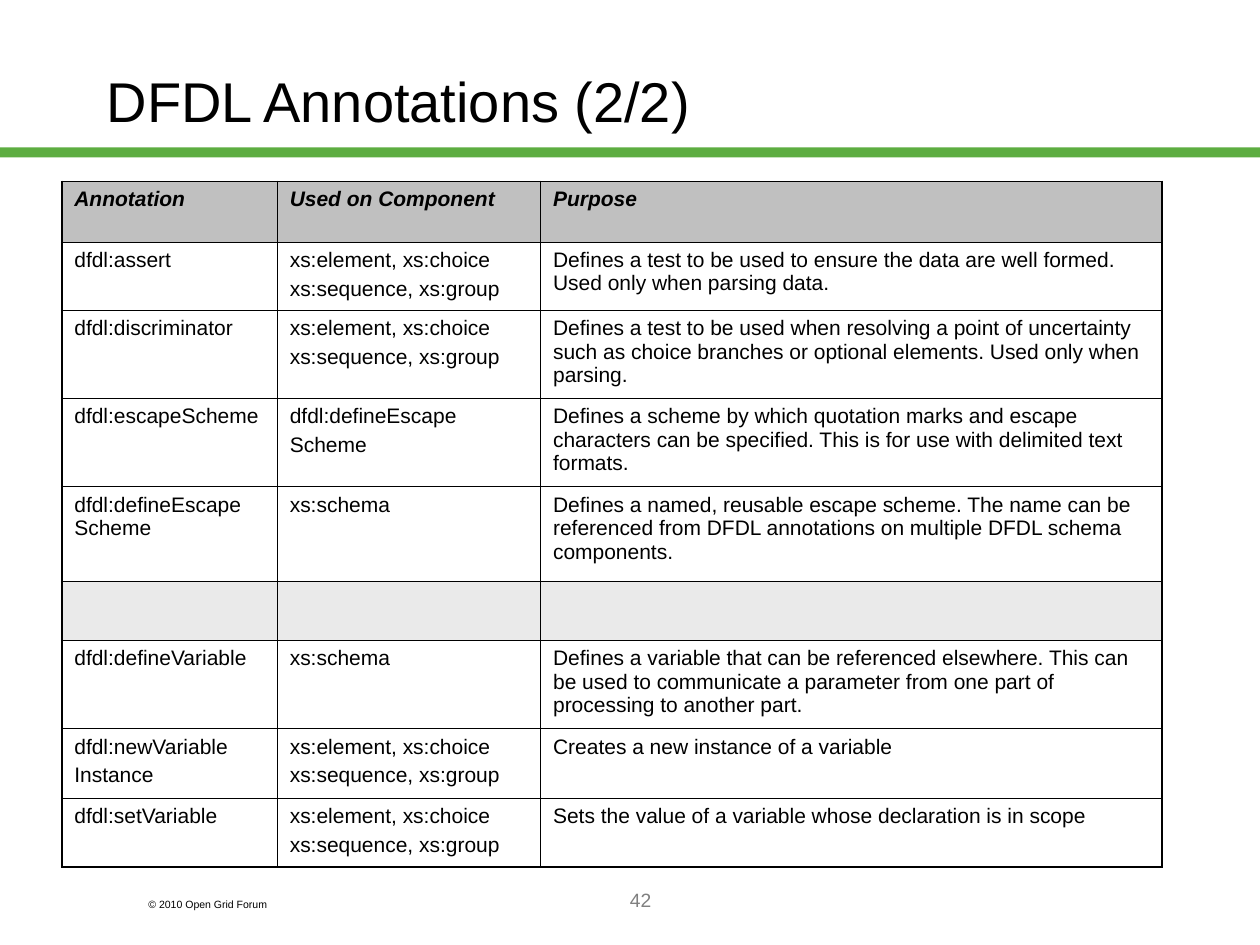
from lxml import etree
from pptx import Presentation
from pptx.dml.color import RGBColor
from pptx.enum.shapes import MSO_SHAPE
from pptx.enum.text import MSO_ANCHOR, PP_ALIGN
from pptx.oxml.ns import qn
from pptx.util import Inches, Pt

RECTANGLE = MSO_SHAPE.RECTANGLE
TOP, MIDDLE = MSO_ANCHOR.TOP, MSO_ANCHOR.MIDDLE
LEFT, CENTER = PP_ALIGN.LEFT, PP_ALIGN.CENTER

GRID_COLUMNS, GRID_ROWS = 100, 75
BLACK, GRAY, GREEN = "000000", "808080", "5DAD41"
HEADER_FILL, GAP_FILL = "C0C0C0", "EAEAEA"
OUTER, INNER = 1.08, 0.45

COLUMN_WIDTHS = [17.1, 20.9, 49.3]
ROW_HEIGHTS = [4.8, 5.4, 7, 7, 7.5, 4.7, 7, 5.5, 5.5]
COMPONENTS = "xs:element, xs:choice\nxs:sequence, xs:group"
ANNOTATIONS = [
    ("Annotation", "Used on Component", "Purpose"),
    ("dfdl:assert", COMPONENTS,
     "Defines a test to be used to ensure the data are well formed. "
     "Used only when parsing data."),
    ("dfdl:discriminator", COMPONENTS,
     "Defines a test to be used when resolving a point of uncertainty such as "
     "choice branches or optional elements. Used only when parsing."),
    ("dfdl:escapeScheme", "dfdl:defineEscape\nScheme",
     "Defines a scheme by which quotation marks and escape characters can be "
     "specified. This is for use with delimited text formats."),
    ("dfdl:defineEscape\nScheme", "xs:schema",
     "Defines a named, reusable escape scheme. The name can be referenced from "
     "DFDL annotations on multiple DFDL schema components."),
    ("", "", ""),
    ("dfdl:defineVariable", "xs:schema",
     "Defines a variable that can be referenced elsewhere. This can be used to "
     "communicate a parameter from one part of processing to another part."),
    ("dfdl:newVariable\nInstance", COMPONENTS, "Creates a new instance of a variable"),
    ("dfdl:setVariable", COMPONENTS,
     "Sets the value of a variable whose declaration is in scope"),
]
TIGHT_CELLS = {(4, 0)}


def color(hex_value):
    return RGBColor.from_string(hex_value)


class SlideBuilder:
    font_name = "Arial"

    def __init__(self, deck):
        self.slide = deck.slides.add_slide(deck.slide_layouts[6])
        self.column = deck.slide_width / GRID_COLUMNS
        self.row = deck.slide_height / GRID_ROWS

    def place(self, left, top, width, height):
        return (round(left * self.column), round(top * self.row),
                round(width * self.column), round(height * self.row))

    def fill_frame(self, frame, text, size, hex_value=BLACK, align=LEFT,
                   emphasis=False, gap=0):
        frame.word_wrap = True
        frame.text = text
        for index, paragraph in enumerate(frame.paragraphs):
            paragraph.alignment = align
            if index:
                paragraph.space_before = Pt(gap)
            font = paragraph.font
            font.name, font.size = self.font_name, Pt(size)
            font.bold = font.italic = emphasis
            font.color.rgb = color(hex_value)

    def bar(self, area, hex_value):
        shape = self.slide.shapes.add_shape(RECTANGLE, *self.place(*area))
        shape.shadow.inherit = False
        shape.fill.solid()
        shape.fill.fore_color.rgb = color(hex_value)
        shape.line.fill.background()

    def text(self, area, text, size, hex_value=BLACK, align=LEFT, anchor=TOP):
        frame = self.slide.shapes.add_textbox(*self.place(*area)).text_frame
        frame.vertical_anchor = anchor
        self.fill_frame(frame, text, size, hex_value, align)

    def borders(self, cell, widths):
        properties = cell._tc.get_or_add_tcPr()
        for index, (side, width) in enumerate(widths.items()):
            line = etree.Element(qn(f"a:ln{side}"), w=str(Pt(width)))
            fill = etree.SubElement(line, qn("a:solidFill"))
            etree.SubElement(fill, qn("a:srgbClr"), val=BLACK)
            properties.insert(index, line)

    def table(self, left, top, widths, heights, rows, fills, tight):
        area = self.place(left, top, sum(widths), sum(heights))
        table = self.slide.shapes.add_table(len(rows), len(widths), *area).table
        table.horz_banding = table.first_row = False
        for column, width in zip(table.columns, widths):
            column.width = round(width * self.column)
        for row, height in zip(table.rows, heights):
            row.height = round(height * self.row)
        last_row, last_column = len(rows) - 1, len(widths) - 1
        for r, texts in enumerate(rows):
            for c, text in enumerate(texts):
                cell = table.cell(r, c)
                self.fill_frame(cell.text_frame, text, 12, emphasis=r == 0,
                                gap=0 if (r, c) in tight else 3)
                if r in fills:
                    cell.fill.solid()
                    cell.fill.fore_color.rgb = color(fills[r])
                else:
                    cell.fill.background()
                edges = {"L": c == 0, "R": c == last_column,
                         "T": r == 0, "B": r == last_row}
                self.borders(cell, {side: OUTER if outside else INNER
                                    for side, outside in edges.items()})


def main():
    deck = Presentation()
    deck.slide_width, deck.slide_height = Inches(10), Inches(7.5)
    page = SlideBuilder(deck)
    page.bar((0, 11.7, GRID_COLUMNS, 0.8), GREEN)
    page.text((10.8, 70.8, 15, 2), "© 2010 Open Grid Forum", 6)
    page.text((21.7, 70, 58.3, 5), "42", 11, GRAY, CENTER)
    page.text((7.5, 1.7, 85, 12.5), "DFDL Annotations (2/2)", 32, anchor=MIDDLE)
    page.table(4.9, 14.4, COLUMN_WIDTHS, ROW_HEIGHTS, ANNOTATIONS,
               {0: HEADER_FILL, 5: GAP_FILL}, TIGHT_CELLS)
    deck.save("out.pptx")


if __name__ == "__main__":
    main()
